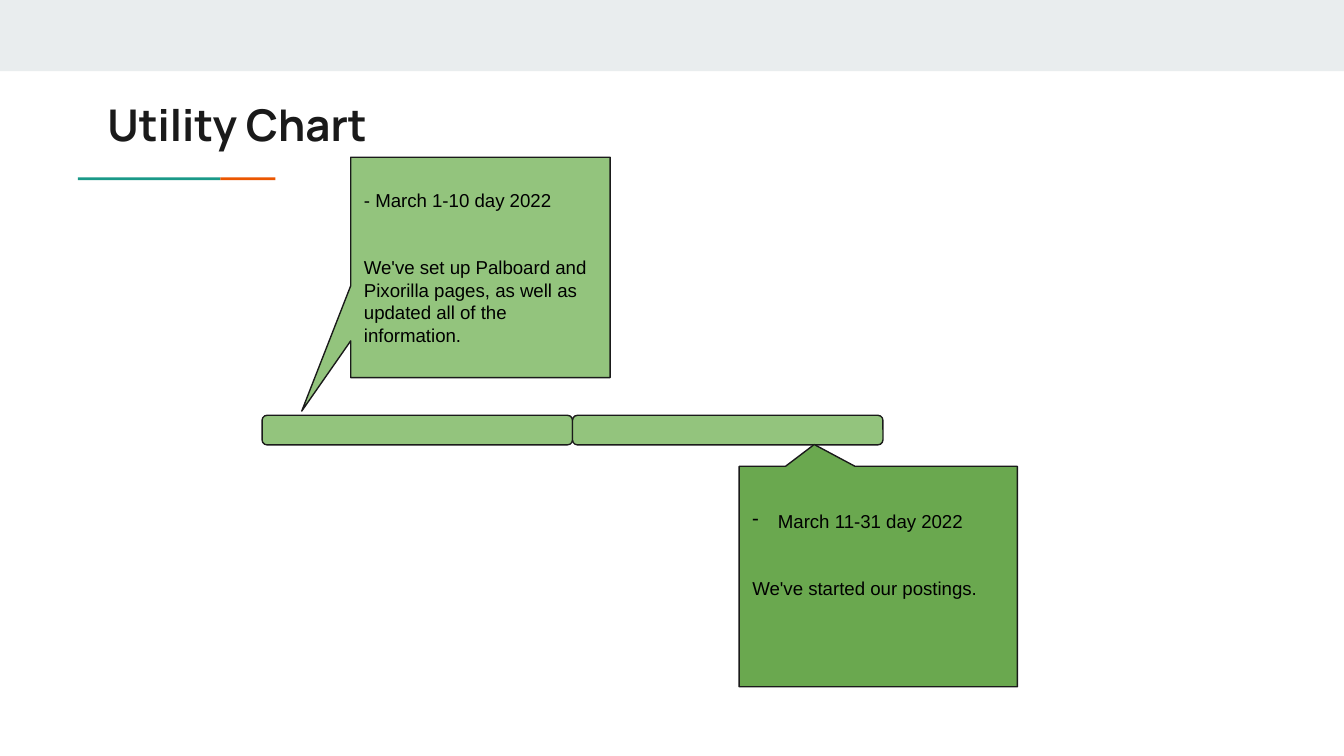
from pptx import Presentation
from pptx.dml.color import RGBColor as RGB
from pptx.enum.shapes import MSO_SHAPE as SHAPE
from pptx.enum.text import MSO_ANCHOR as ANCHOR, PP_ALIGN as ALIGN
from pptx.util import Inches, Pt
from lxml import etree

COLORS = {
    "band": "E9EDEE", "teal": "1A9988", "orange": "EB5600", "ink": "1A1A1A",
    "light": "93C47D", "dark": "6AA84F", "text": "000000",
}
NS = "http://schemas.openxmlformats.org/drawingml/2006/main"


def color(name):
    return RGB.from_string(COLORS[name])


def shape(kind, box, fill, line=False, adjust=()):
    """Add a flat shape; box is left, top, width and height in inches."""
    item = slide.shapes.add_shape(kind, *[Inches(v) for v in box])
    item.shadow.inherit = False
    item.fill.solid()
    item.fill.fore_color.rgb = color(fill)
    if line:
        item.line.color.rgb = color("ink")
        item.line.width = Pt(0.75)
    else:
        item.line.fill.background()
    for i, value in enumerate(adjust):
        item.adjustments[i] = value
    return item


deck = Presentation()
deck.slide_width, deck.slide_height = Inches(10), Inches(10 * 9 / 16)
slide = deck.slides.add_slide(deck.slide_layouts[6])

# Header band, accent rule and title
shape(SHAPE.RECTANGLE, (0, 0, 10, 0.53), "band")
shape(SHAPE.RECTANGLE, (0.58, 1.32, 1.06, 0.02), "teal")
shape(SHAPE.RECTANGLE, (1.64, 1.32, 0.41, 0.02), "orange")

title = slide.shapes.add_textbox(Inches(0.7), Inches(0.63), Inches(8.41), Inches(0.59))
frame = title.text_frame
frame.word_wrap = True
for side in ("left", "top", "right", "bottom"):
    setattr(frame, "margin_" + side, Inches(0.1))
run = frame.paragraphs[0].add_run()
run.text = "Utility Chart"
for key, value in {"name": "Manrope", "size": Pt(23.4), "bold": True}.items():
    setattr(run.font, key, value)
run.font.color.rgb = color("ink")

# Timeline bars, end to end
WIDE = 2.31
for i in range(2):
    shape(SHAPE.ROUNDED_RECTANGLE, (1.95 + i * WIDE, 3.09, WIDE, 0.22), "light", True, [0.167])

# Callouts: box, fill, pointer, bottom margin, bulleted date, date, note
callouts = [
    ((2.61, 1.17, 1.93, 1.64), "light", (-0.689, 0.652, 0), 0.1, False,
     "- March 1-10 day 2022",
     "We've set up Palboard and Pixorilla pages, as well as updated all of the information."),
    ((5.5, 3.47, 2.07, 1.64), "dark", (-0.23, -0.599, 0), 0.43, True,
     "March 11-31 day 2022", "We've started our postings."),
]
for box, fill, point, bottom, bullet, date, note in callouts:
    call = shape(SHAPE.ROUNDED_RECTANGULAR_CALLOUT, box, fill, True, point)
    frame = call.text_frame
    format = {
        "word_wrap": True, "vertical_anchor": ANCHOR.MIDDLE,
        "margin_left": Inches(0.1), "margin_right": Inches(0.1),
        "margin_top": Inches(0.1), "margin_bottom": Inches(bottom),
    }
    for key, value in format.items():
        setattr(frame, key, value)
    for para, text in ((frame.paragraphs[0], date), (frame.add_paragraph(), note)):
        para.alignment = ALIGN.LEFT
        run = para.add_run()
        run.text = text
        run.font.name = "Arial"
        run.font.size = Pt(10)
        run.font.color.rgb = color("text")
    first = frame.paragraphs[0]
    first.space_after = Pt(24)
    if bullet:
        props = first._p.get_or_add_pPr()
        props.set("marL", str(Inches(0.19)))
        props.set("indent", str(-Inches(0.19)))
        tint = etree.SubElement(props, f"{{{NS}}}buClr")
        etree.SubElement(tint, f"{{{NS}}}srgbClr", val=COLORS["text"])
        etree.SubElement(props, f"{{{NS}}}buChar", char="-")

deck.save("out.pptx")
